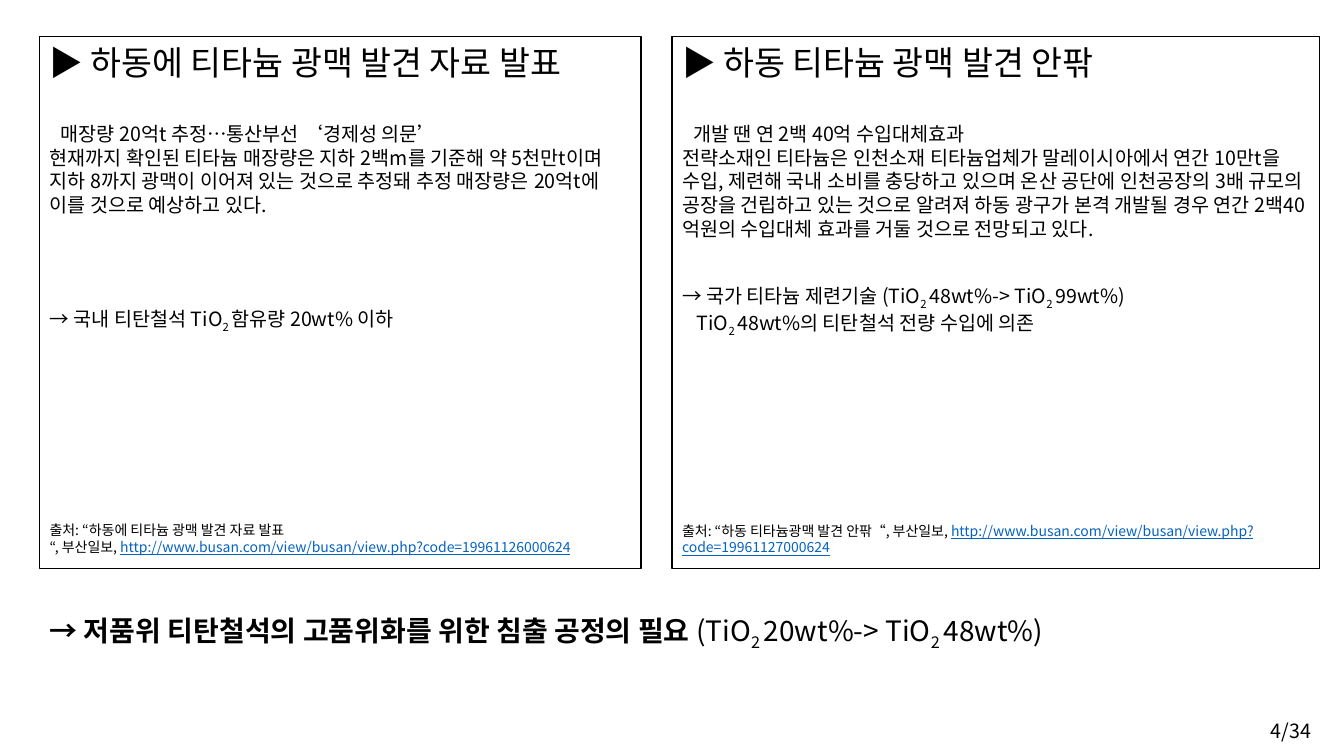
import pptx
import pptx.dml.color
import pptx.enum.shapes
import pptx.enum.text
import pptx.oxml.ns
import pptx.util
from lxml import etree

Cm, Pt = pptx.util.Cm, pptx.util.Pt
Align = pptx.enum.text.PP_ALIGN
Anchor = pptx.enum.text.MSO_ANCHOR
BLACK = pptx.dml.color.RGBColor(0x00, 0x00, 0x00)
LINK_BLUE = pptx.dml.color.RGBColor(0x05, 0x63, 0xC1)

# Span formats and the subscripted formula
BOLD = {"bold": True}
LINK = {"color": LINK_BLUE, "underline": True}
SUB = ("2 ", {"baseline": -25000})


class SlideBuilder:
    font_name = "Noto Sans CJK KR"
    line_factor = 1.2

    def __init__(self, deck):
        self.page = deck.slides.add_slide(deck.slide_layouts[5])

    def add_span(self, para, text, size, color=BLACK, baseline=None, **extra):
        span = para.add_run()
        span.text = text
        formats = {"name": self.font_name, "size": Pt(size), "bold": False, **extra}
        for name, value in formats.items():
            setattr(span.font, name, value)
        span.font.color.rgb = color
        properties = span._r.get_or_add_rPr()
        if baseline:
            properties.set("baseline", str(baseline))
        east_asian = etree.SubElement(properties, pptx.oxml.ns.qn("a:ea"))
        east_asian.set("typeface", self.font_name)

    def fill_text(self, box, paragraphs, anchor=Anchor.TOP, align=Align.LEFT):
        """Each paragraph is (size, space before, first-line indent in cm, spans)."""
        frame = box.text_frame
        layout = {"word_wrap": True, "vertical_anchor": anchor,
                  "auto_size": pptx.enum.text.MSO_AUTO_SIZE.NONE,
                  "margin_left": Cm(0.25), "margin_right": Cm(0.25),
                  "margin_top": Cm(0.13), "margin_bottom": Cm(0.13)}
        for name, value in layout.items():
            setattr(frame, name, value)
        for index, (size, before, indent, spans) in enumerate(paragraphs):
            para = frame.add_paragraph() if index else frame.paragraphs[0]
            formats = {"alignment": align, "space_before": Pt(before),
                       "line_spacing": Pt(round(size * self.line_factor, 1))}
            for name, value in formats.items():
                setattr(para, name, value)
            if indent:
                para._p.get_or_add_pPr().set("indent", str(Cm(indent)))
            for text, style in spans:
                self.add_span(para, text, size, **style)

    def add_headline(self, spans, left, top, width, height):
        box = self.page.shapes.title
        place = {"left": left, "top": top, "width": width, "height": height}
        for name, value in place.items():
            setattr(box, name, Cm(value))
        self.fill_text(box, [(20, 0, 0, spans)], Anchor.BOTTOM)

    def add_panel(self, paragraphs, left, width):
        box = self.page.shapes.add_shape(
            pptx.enum.shapes.MSO_SHAPE.RECTANGLE,
            Cm(left), Cm(0.92), Cm(width), Cm(13.41))
        box.shadow.inherit = False
        box.fill.background()
        box.line.color.rgb = BLACK
        box.line.width = Pt(1)
        self.fill_text(box, paragraphs)

    def add_page_number(self, text):
        box = self.page.shapes.add_textbox(Cm(31.21), Cm(17.75), Cm(2.66), Cm(1.3))
        self.fill_text(box, [(14, 0, 0, [(text, {})])], Anchor.MIDDLE, Align.CENTER)


def main():
    deck = pptx.Presentation()
    deck.slide_width, deck.slide_height = Cm(33.87), Cm(19.05)
    slide = SlideBuilder(deck)

    # Conclusion below the panels
    slide.add_headline([
        ("→ 저품위 티탄철석의 고품위화를 위한 침출 공정의 필요 ", BOLD),
        ("(TiO", {}), SUB, ("20wt%-> TiO", {}), SUB, ("48wt%)", {}),
    ], 1, 14.68, 32.23, 1.88)

    # Left panel: announcement of the find
    slide.add_panel([
        (24, 0, 0, [("▶ 하동에 티타늄 광맥 발견 자료 발표", {})]),
        (14, 28.8, 0.28, [("매장량 20억t 추정…통산부선 ‘경제성 의문’", {})]),
        (14, 0, 0, [("현재까지 확인된 티타늄 매장량은 지하 2백m를 기준해 약 5천만t이며 "
                     "지하 8까지 광맥이 이어져 있는 것으로 추정돼 추정 매장량은 20억t에 "
                     "이를 것으로 예상하고 있다.", {})]),
        (14, 67.2, 0, [("→ 국내 티탄철석 TiO", {}), SUB, ("함유량 20wt% 이하", {})]),
        (10, 134, 0, [("출처: “하동에 티타늄 광맥 발견 자료 발표", {})]),
        (10, 0, 0, [("“, 부산일보, ", {}),
                    ("http://www.busan.com/view/busan/view.php?code=19961126000624", LINK)]),
    ], 1, 15.16)

    # Right panel: background of the find
    slide.add_panel([
        (24, 0, 0, [("▶ 하동 티타늄 광맥 발견 안팎", {})]),
        (14, 28.8, 0.28, [("개발 땐 연 2백 40억 수입대체효과", {})]),
        (14, 0, 0, [("전략소재인 티타늄은 인천소재 티타늄업체가 말레이시아에서 연간 10만t을 "
                     "수입, 제련해 국내 소비를 충당하고 있으며 온산 공단에 인천공장의 3배 "
                     "규모의 공장을 건립하고 있는 것으로 알려져 하동 광구가 본격 개발될 경우 "
                     "연간 2백40억원의 수입대체 효과를 거둘 것으로 전망되고 있다.", {})]),
        (14, 33.6, 0, [("→ 국가 티타늄 제련기술 (TiO", {}), SUB,
                       ("48wt%-> TiO", {}), SUB, ("99wt%)", {})]),
        (14, 2.4, 0.37, [("TiO", {}), SUB, ("48wt%의 티탄철석 전량 수입에 의존", {})]),
        (10, 132, 0, [("출처: “하동 티타늄광맥 발견 안팎“, 부산일보, ", {}),
                      ("http://www.busan.com/view/busan/view.php?code=19961127000624", LINK)]),
    ], 16.94, 16.31)

    slide.add_page_number("4/34")
    deck.save("out.pptx")


if __name__ == "__main__":
    main()
